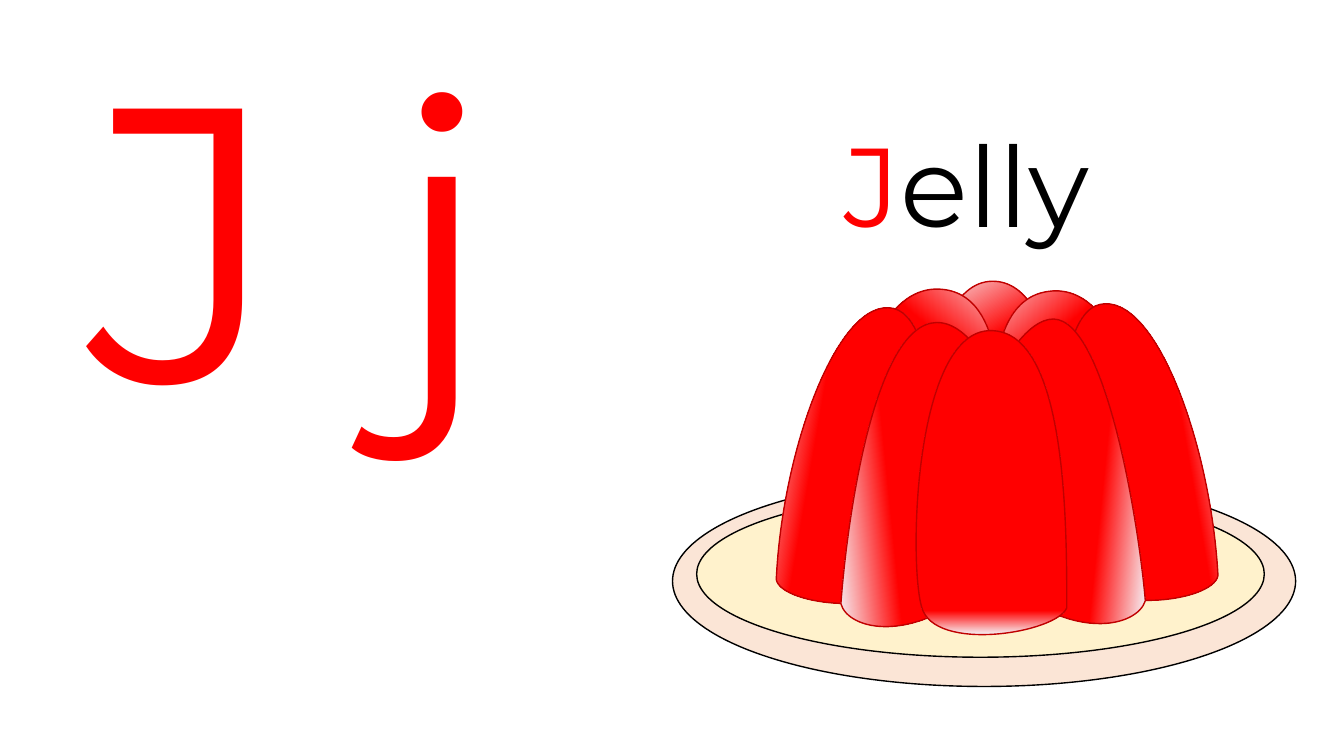
import math
import lxml.etree
import pptx
import pptx.util
import pptx.dml.color
import pptx.enum.shapes
import pptx.enum.text
import pptx.oxml.ns

Inches = pptx.util.Inches
RGBColor = pptx.dml.color.RGBColor
qn = pptx.oxml.ns.qn

RED = RGBColor(0xFF, 0x00, 0x00)
DARK_RED = RGBColor(0xC0, 0x00, 0x00)
BLACK = RGBColor(0x00, 0x00, 0x00)
SHINE = RGBColor(0xF6, 0xF8, 0xFC)
PLATE_RIM = RGBColor(0xFB, 0xE5, 0xD6)
PLATE_CENTRE = RGBColor(0xFF, 0xF2, 0xCC)

deck = pptx.Presentation()
deck.slide_width = Inches(13.33)
deck.slide_height = Inches(7.5)
page = deck.slides.add_slide(deck.slide_layouts[6])


def add_letters(shapes, left, top, width, height, size, spans):
    box = shapes.add_textbox(Inches(left), Inches(top), Inches(width), Inches(height))
    box.text_frame.word_wrap = True
    box.text_frame.auto_size = pptx.enum.text.MSO_AUTO_SIZE.SHAPE_TO_FIT_TEXT
    para = box.text_frame.paragraphs[0]
    for text, color in spans:
        span = para.add_run()
        span.text = text
        span.font.name = "Montserrat"
        span.font.size = pptx.util.Pt(size)
        span.font.color.rgb = color


def bend_outline(shape, left, top, width, height):
    """Turn each three line segments into one cubic curve and fit the shape to its true box."""
    shift_x, shift_y = shape.left - left, shape.top - top
    outline = shape._element.find(".//" + qn("a:path"))
    outline.set("w", str(width))
    outline.set("h", str(height))
    for point in outline.iter(qn("a:pt")):
        point.set("x", str(int(point.get("x")) + shift_x))
        point.set("y", str(int(point.get("y")) + shift_y))
    segments = outline.findall(qn("a:lnTo"))
    for first in range(0, len(segments), 3):
        curve = lxml.etree.Element(qn("a:cubicBezTo"))
        segments[first].addprevious(curve)
        for segment in segments[first:first + 3]:
            curve.append(segment[0])
            outline.remove(segment)
    shape.left, shape.top, shape.width, shape.height = left, top, width, height


add_letters(page.shapes, 0.78, -0.13, 7.93, 4.98, 280, [("J j", RED)])

jelly = page.shapes.add_group_shape()
add_letters(jelly.shapes, 8.28, 1.1, 3.23, 1.45, 80, [("J", RED), ("elly", BLACK)])

for left, top, width, height, color in [
    (6.67, 4.72, 6.18, 2.09, PLATE_RIM),
    (6.91, 4.87, 5.63, 1.65, PLATE_CENTRE),
]:
    plate = jelly.shapes.add_shape(
        pptx.enum.shapes.MSO_SHAPE.OVAL,
        Inches(left), Inches(top), Inches(width), Inches(height))
    plate.shadow.inherit = False
    plate.fill.solid()
    plate.fill.fore_color.rgb = color
    plate.line.color.rgb = BLACK
    plate.line.width = pptx.util.Pt(1)

# Upright box, tilt, counter-clockwise shine angle, shine depth,
# then the tilted outline: start, and two controls and an end for each curve
lobes = [
    ((9.1, 2.79, 1.49, 3.02), 0, 300, 0.26, [
        (9.15, 5.53),
        (9.03, 5.07), (9.08, 2.8), (9.84, 2.79),
        (10.59, 2.78), (10.59, 4.71), (10.59, 5.54),
        (10.49, 5.8), (9.28, 5.99), (9.15, 5.53)]),
    ((9.87, 2.87, 1.5, 2.99), -9.8, 300, 0.26, [
        (10.12, 5.54),
        (9.92, 5.09), (9.54, 3.08), (10.35, 2.9),
        (11.15, 2.72), (11.45, 4.29), (11.51, 5.59),
        (11.46, 5.85), (10.31, 5.99), (10.12, 5.54)]),
    ((10.46, 3, 1.44, 2.99), -9.8, 180, 0.26, [
        (10.68, 5.66),
        (10.49, 5.21), (10.37, 3.14), (10.91, 3.02),
        (11.46, 2.9), (12.01, 4.41), (12.08, 5.71),
        (12.03, 5.98), (10.88, 6.11), (10.68, 5.66)]),
    ((9.59, 3.17, 1.66, 3.05), -4.2, 170, 0.26, [
        (9.92, 5.73),
        (9.21, 5.09), (9.87, 3.28), (10.4, 3.17),
        (10.94, 3.05), (11.29, 5.13), (11.36, 5.96),
        (11.28, 6.22), (10.63, 6.38), (9.92, 5.73)]),
    ((8.39, 2.86, 1.5, 2.99), 9.8, 240, 0.26, [
        (9.65, 5.52),
        (9.84, 5.07), (10.22, 3.06), (9.41, 2.88),
        (8.61, 2.71), (8.31, 4.27), (8.25, 5.57),
        (8.3, 5.84), (9.45, 5.97), (9.65, 5.52)]),
    ((7.87, 3.03, 1.44, 2.99), 9.8, 0, 0.29, [
        (9.09, 5.69),
        (9.29, 5.25), (9.4, 3.18), (8.86, 3.06),
        (8.32, 2.94), (7.76, 4.44), (7.7, 5.75),
        (7.75, 6.01), (8.9, 6.14), (9.09, 5.69)]),
    ((8.43, 3.2, 1.68, 3.05), 4.2, 10, 0.29, [
        (9.77, 5.76),
        (10.48, 5.12), (9.91, 3.19), (9.29, 3.2),
        (8.67, 3.21), (8.4, 5.16), (8.34, 5.99),
        (8.41, 6.25), (9.06, 6.41), (9.77, 5.76)]),
    ((9.09, 3.28, 1.49, 3.02), 0, 90, 0.08, [
        (9.14, 6.02),
        (9.01, 5.56), (9.07, 3.29), (9.82, 3.28),
        (10.58, 3.27), (10.58, 5.19), (10.58, 6.03),
        (10.48, 6.28), (9.26, 6.48), (9.14, 6.02)]),
]

for lobe_box, tilt, shine_angle, shine_depth, points in lobes:
    left, top, width, height = lobe_box
    centre_x, centre_y = left + width / 2, top + height / 2
    # Turn the outline upright, so that the shape's own rotation tilts it back
    cosine, sine = math.cos(math.radians(tilt)), math.sin(math.radians(tilt))
    upright = []
    for x, y in points:
        dx, dy = x - centre_x, y - centre_y
        upright.append((Inches(centre_x + dx * cosine + dy * sine),
                        Inches(centre_y - dx * sine + dy * cosine)))
    builder = jelly.shapes.build_freeform(*upright[0])
    builder.add_line_segments(upright[1:], close=True)
    lobe = builder.convert_to_shape()
    bend_outline(lobe, *map(Inches, lobe_box))
    lobe.rotation = tilt
    lobe.shadow.inherit = False
    lobe.fill.gradient()
    lobe.fill.gradient_angle = shine_angle
    for stop, color, position in zip(
            lobe.fill.gradient_stops, (SHINE, RED), (0, shine_depth)):
        stop.color.rgb = color
        stop.position = position
    lobe.line.color.rgb = DARK_RED
    lobe.line.width = pptx.util.Pt(1)

deck.save("out.pptx")
